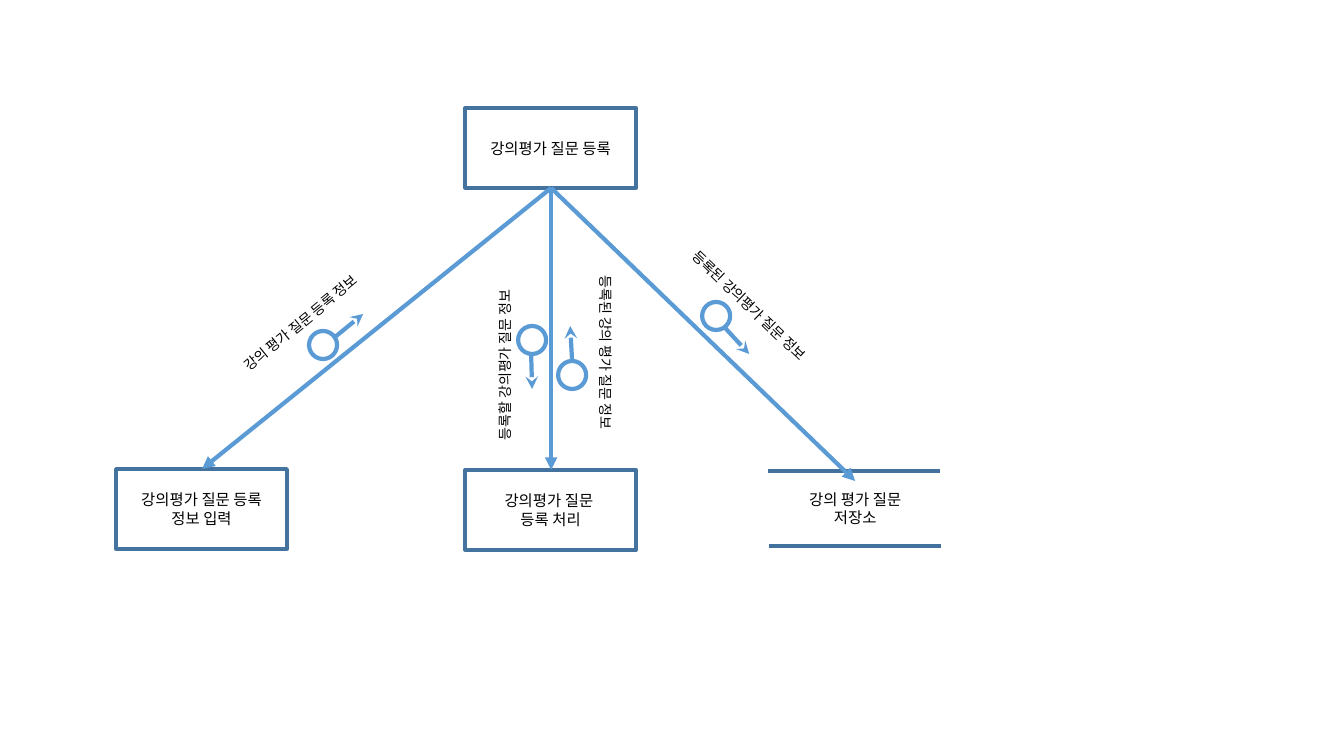
from pptx import Presentation, util as u
from pptx.dml.color import RGBColor
from pptx.enum import shapes, text
from pptx.oxml.ns import qn
from lxml import etree

PX = 914400 / 100.8
FONT = "Noto Sans CJK KR"
BLACK = RGBColor(0x00, 0x00, 0x00)
WHITE = RGBColor(0xFF, 0xFF, 0xFF)
BLUE = RGBColor(0x5B, 0x9B, 0xD5)
BORDER = RGBColor(0x43, 0x73, 0x9E)
STORE_LINE = RGBColor(0x41, 0x71, 0x9C)

BOX_W, BOX_H, CIRCLE = 171, 80, 28
MODULES = [
    (465, 108, "강의평가 질문 등록"),
    (116, 469, "강의평가 질문 등록 정보 입력"),
    (465, 470, "강의평가 질문 \n등록 처리"),
]
STORE = (779, 481, 152, 55, "강의 평가 질문\v저장소")
STORE_RULES = [(768, 471, 940), (769, 546, 941)]
CALLER = (551, 188)
CALLS = [(202, 469), (551, 470), (855, 481)]
FLOWS = [
    ((702, 302), (725, 328), (749, 354), (661, 299, 191), 43.7, "등록된 강의평가 질문 정보"),
    ((309, 331), (335, 337), (363, 314), (218, 303, 181), 320.7, "강의 평가 질문 등록 정보"),
    ((518, 326), (531, 354), (532, 389), (409, 341, 191), 270, "등록할 강의평가 질문 정보"),
    ((558, 361), (572, 361), (570, 326), (508, 350, 196), 90, "등록된 강의 평가 질문 정보"),
]


def emu(*lengths):
    return [u.Emu(round(n * PX)) for n in lengths]


def write(sp, words, size, align):
    tf = sp.text_frame
    tf.text = words
    for p in tf.paragraphs:
        p.alignment = align
        for r in p.runs:
            r.font.size, r.font.name = u.Pt(size), FONT
            r.font.color.rgb = BLACK
            etree.SubElement(r.font._element, qn("a:ea"), typeface=FONT)
    return tf


def add_shape(parent, kind, box, line=None, width=0, fill=None):
    sp = parent.shapes.add_shape(kind, *emu(*box))
    sp.shadow.inherit = False
    if fill is None:
        sp.fill.background()
    else:
        sp.fill.solid()
        sp.fill.fore_color.rgb = fill
    if line is None:
        sp.line.fill.background()
    else:
        sp.line.color.rgb, sp.line.width = line, u.Pt(width)
    return sp


def add_box(parent, box, words, **style):
    sp = add_shape(parent, shapes.MSO_SHAPE.RECTANGLE, box, **style)
    tf = write(sp, words, 11, text.PP_ALIGN.CENTER)
    tf.word_wrap = True
    tf.vertical_anchor = text.MSO_ANCHOR.MIDDLE


def add_line(parent, start, end, color, arrow=None):
    c = parent.shapes.add_connector(shapes.MSO_CONNECTOR.STRAIGHT, *emu(*start, *end))
    c.line.color.rgb, c.line.width = color, u.Pt(3)
    if arrow:
        etree.SubElement(c.line._get_or_add_ln(), qn("a:tailEnd"), type=arrow)
    etree.SubElement(c._element.spPr, qn("a:effectLst"))


prs = Presentation()
prs.slide_width, prs.slide_height = u.Inches(13.33), u.Inches(7.5)
s = prs.slides.add_slide(prs.slide_layouts[6])

for x, y, words in MODULES:
    add_box(s, (x, y, BOX_W, BOX_H), words, line=BORDER, width=2.5)

store = s.shapes.add_group_shape()
for left, y, right in STORE_RULES:
    add_line(store, (left, y), (right, y), STORE_LINE)
add_box(store, STORE[:4], STORE[4], fill=WHITE)

for target in CALLS:
    add_line(s, CALLER, target, BLUE, "triangle")

for circle, start, tip, (x, y, w), angle, words in FLOWS:
    flow = s.shapes.add_group_shape()
    add_shape(flow, shapes.MSO_SHAPE.OVAL, (*circle, CIRCLE, CIRCLE), BLUE, 3)
    add_line(flow, start, tip, BLUE, "stealth")
    label = s.shapes.add_textbox(*emu(x, y, w, 27))
    label.rotation = angle
    tf = write(label, words, 10, text.PP_ALIGN.LEFT)
    tf.word_wrap = False
    tf.auto_size = text.MSO_AUTO_SIZE.SHAPE_TO_FIT_TEXT

prs.save("out.pptx")
